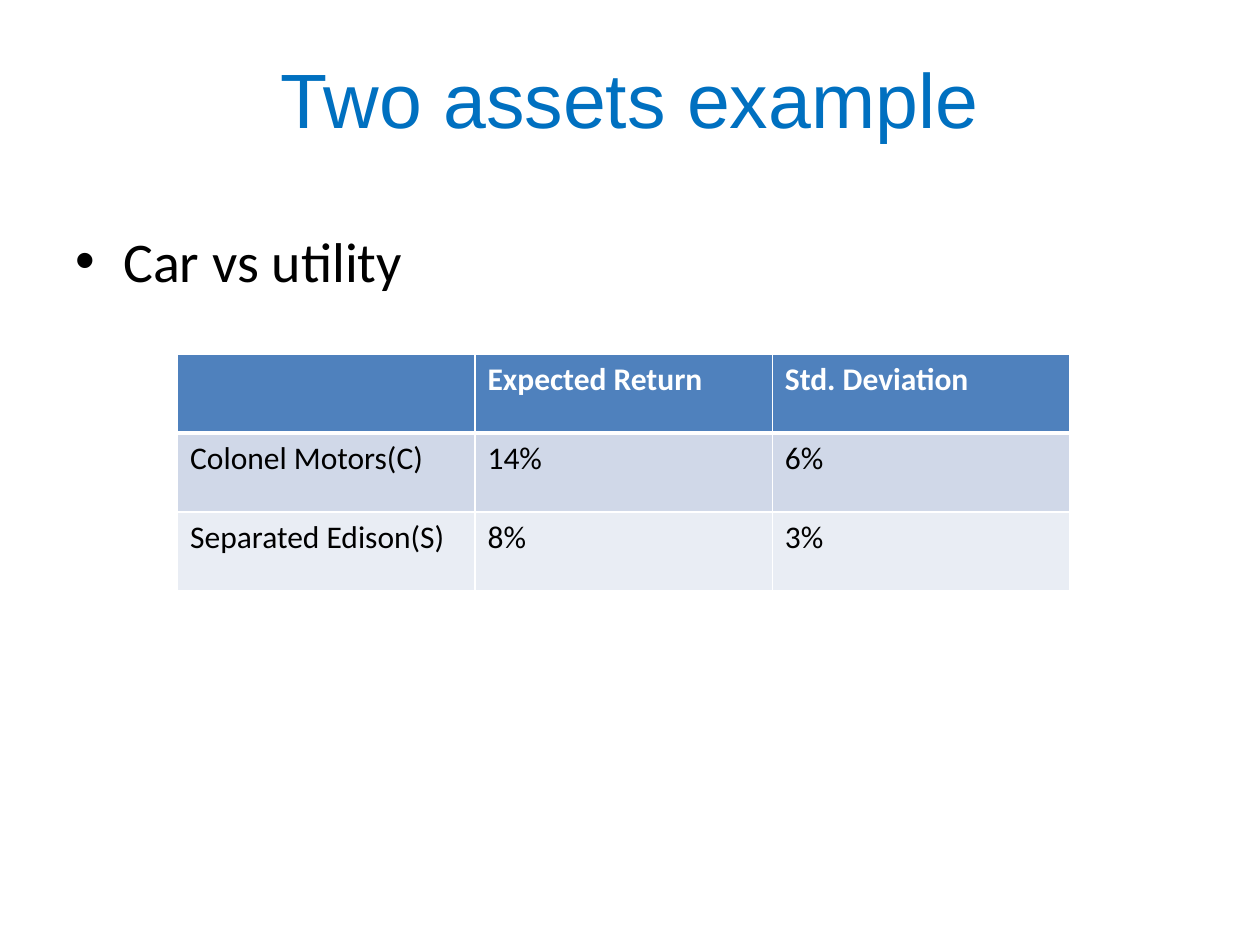
from lxml import etree
from pptx import Presentation
from pptx import util as u
from pptx.dml.color import RGBColor
from pptx.enum import text
from pptx.oxml.ns import qn

HUES = {"title": "0070C0", "head": "4F81BD", "odd": "D0D8E8",
        "even": "E9EDF4", "ink": "000000", "white": "FFFFFF"}
ROWS = [
    ["", "Expected Return", "Std. Deviation"],
    ["Colonel Motors(C)", "14%", "6%"],
    ["Separated Edison(S)", "8%", "3%"],
]


def style(font, hue, **form):
    for key, val in form.items():
        setattr(font, key, val)
    font.color.rgb = RGBColor.from_string(HUES[hue])


def add_title(slide, words):
    title = slide.shapes.title
    box = {"left": 0.5, "top": 0.3, "width": 9, "height": 1.25}
    for key, val in box.items():
        setattr(title, key, u.Inches(val))
    frame = title.text_frame
    frame.text = words
    frame.vertical_anchor = text.MSO_ANCHOR.TOP
    frame.margin_top = u.Inches(0.11)
    para = frame.paragraphs[0]
    para.alignment = text.PP_ALIGN.CENTER
    style(para.runs[0].font, "title", name="Arial", size=u.Pt(44))


def add_bullet(slide, words):
    box = slide.shapes.add_textbox(u.Inches(0.5), u.Inches(1.75),
                                   u.Inches(9), u.Inches(4.95))
    frame = box.text_frame
    frame.word_wrap = True
    para = frame.paragraphs[0]
    props = para._p.get_or_add_pPr()
    props.set("marL", str(u.Inches(0.38)))
    props.set("indent", str(u.Inches(-0.38)))
    etree.SubElement(props, qn("a:buFont"), typeface="Arial")
    etree.SubElement(props, qn("a:buChar"), char="•")
    run = para.add_run()
    run.text = words
    style(run.font, "ink", name="Calibri", size=u.Pt(32))


def add_edges(cell, widths):
    props = cell._tc.get_or_add_tcPr()
    for side, width in zip("LRTB", widths):
        line = etree.SubElement(props, qn(f"a:ln{side}"), w=str(u.Pt(width)))
        fill = etree.SubElement(line, qn("a:solidFill"))
        etree.SubElement(fill, qn("a:srgbClr"), val=HUES["white"])


def add_grid(slide, rows):
    shape = slide.shapes.add_table(len(rows), len(rows[0]),
                                   u.Inches(1.41), u.Inches(2.81),
                                   u.Inches(7.08), u.Inches(1.88))
    fills = ["head", "odd", "even"]
    for i, row in enumerate(rows):
        for j, words in enumerate(row):
            cell = shape.table.cell(i, j)
            # A thick rule parts the header from the body
            add_edges(cell, (1, 1, 3 if i == 1 else 1, 3 if i == 0 else 1))
            cell.fill.solid()
            cell.fill.fore_color.rgb = RGBColor.from_string(HUES[fills[i]])
            cell.text = words
            para = cell.text_frame.paragraphs[0]
            for item in (para, *para.runs):
                style(item.font, "ink" if i else "white", name="Calibri",
                      size=u.Pt(18), bold=i == 0)


def main():
    deck = Presentation()
    deck.slide_width, deck.slide_height = u.Inches(10), u.Inches(7.5)
    slide = deck.slides.add_slide(deck.slide_layouts[5])
    add_grid(slide, ROWS)
    add_bullet(slide, "Car vs utility")
    add_title(slide, "Two assets example")
    deck.save("out.pptx")


if __name__ == "__main__":
    main()
